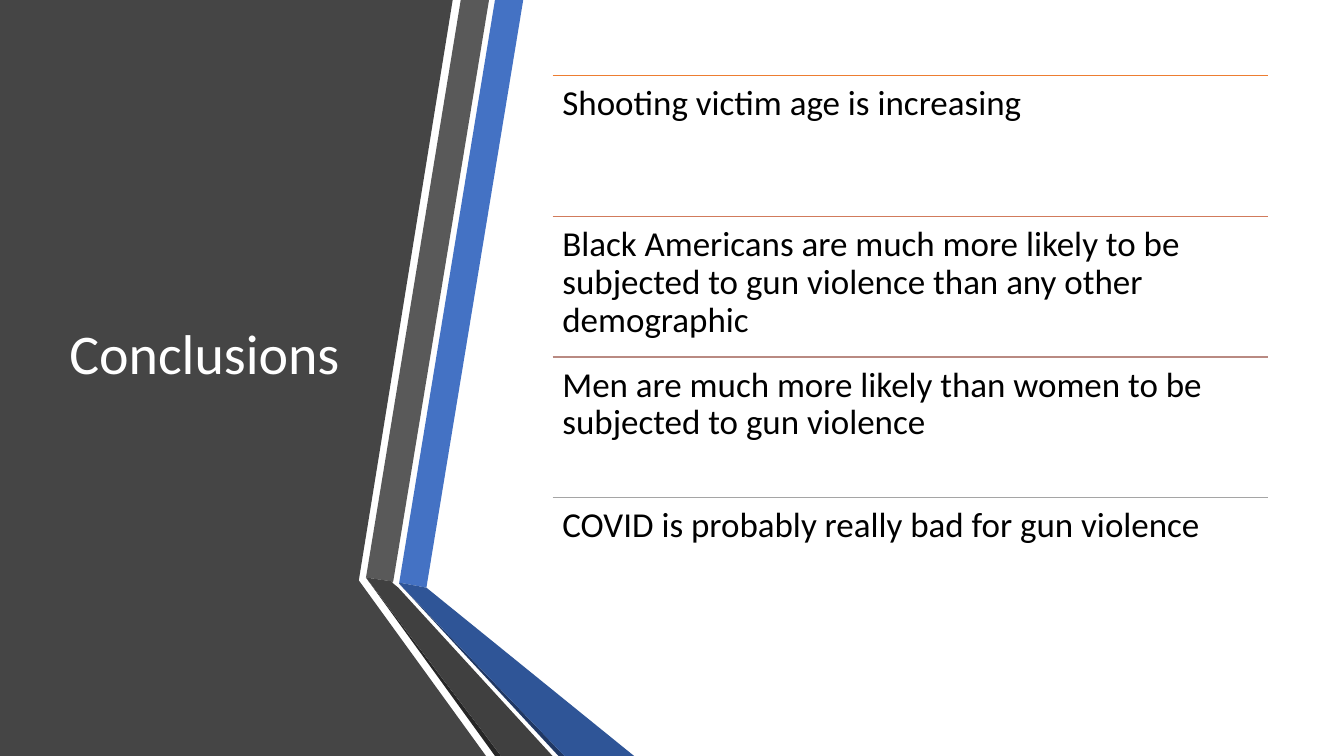
"""Build the Conclusions slide with a folded ribbon and four ruled statements."""
from lxml.etree import SubElement
from pptx import Presentation
from pptx.dml.color import RGBColor
from pptx.enum.shapes import MSO_CONNECTOR
from pptx.enum.text import MSO_ANCHOR
from pptx.oxml.ns import qn
from pptx.util import Inches, Pt

WHITE = RGBColor(0xFF, 0xFF, 0xFF)
BLACK = RGBColor(0x00, 0x00, 0x00)
PANEL_GRAY = RGBColor(0x45, 0x45, 0x45)
BLUE = RGBColor(0x44, 0x72, 0xC4)
GRAY = RGBColor(0x59, 0x59, 0x59)
GRAY_EDGE = RGBColor(0x26, 0x26, 0x26)
BLUE_EDGE = RGBColor(0x20, 0x38, 0x64)
BLUE_FOLD = RGBColor(0x2F, 0x55, 0x97)
GRAY_FOLD = RGBColor(0x40, 0x40, 0x40)
ORANGE = RGBColor(0xED, 0x7D, 0x31)
TERRACOTTA = RGBColor(0xD1, 0x7B, 0x5C)
DUSTY_ROSE = RGBColor(0xB9, 0x8A, 0x82)
SILVER = RGBColor(0xA5, 0xA5, 0xA5)

presentation = Presentation()
presentation.slide_width = Inches(13.33)
presentation.slide_height = Inches(7.5)
slide = presentation.slides.add_slide(presentation.slide_layouts[6])


def add_text(text, left, top, width, height, size, color, anchor):
    text_box = slide.shapes.add_textbox(
        Inches(left), Inches(top), Inches(width), Inches(height))
    frame = text_box.text_frame
    frame_format = {
        "word_wrap": True, "vertical_anchor": anchor,
        "margin_left": Inches(0.1), "margin_right": Inches(0.1),
        "margin_top": Inches(0.1), "margin_bottom": Inches(0.1),
    }
    for name, value in frame_format.items():
        setattr(frame, name, value)
    paragraph = frame.paragraphs[0]
    paragraph.line_spacing = 0.9
    run = paragraph.add_run()
    run.text = text
    for name, value in {"name": "Calibri", "size": Pt(size)}.items():
        setattr(run.font, name, value)
    run.font.color.rgb = color


ribbon_pieces = [
    (PANEL_GRAY, [(0, 0), (4.49, 0), (3.56, 5.75), (3.56, 5.76), (4.82, 7.5), (0, 7.5)]),
    (BLUE, [(3.96, 5.78), (4.23, 5.83), (5.19, 0), (4.91, 0)]),
    (GRAY, [(4.85, 0), (4.57, 0), (3.63, 5.73), (3.9, 5.77)]),
    (GRAY_EDGE, [(3.63, 5.73), (4.91, 7.5), (4.97, 7.5)]),
    (BLUE_EDGE, [(3.96, 5.79), (5.54, 7.5), (5.6, 7.5)]),
    (BLUE_FOLD, [(3.96, 5.79), (5.6, 7.5), (6.29, 7.5), (4.23, 5.83), (3.96, 5.78)]),
    (GRAY_FOLD, [(5.48, 7.5), (3.95, 5.83), (3.89, 5.78), (3.9, 5.77), (3.63, 5.73),
                 (4.97, 7.5)]),
]
for color, corners in ribbon_pieces:
    points = [(Inches(x), Inches(y)) for x, y in corners]
    builder = slide.shapes.build_freeform(*points[0])
    builder.add_line_segments(points[1:], close=True)
    shape = builder.convert_to_shape()
    shape.shadow.inherit = False
    shape.fill.solid()
    shape.fill.fore_color.rgb = color
    shape.line.fill.background()

add_text("Conclusions", 0.59, 0.75, 3.04, 5.58, 40, WHITE, MSO_ANCHOR.MIDDLE)

statements = [
    (ORANGE, "Shooting victim age is increasing"),
    (TERRACOTTA, "Black Americans are much more likely to be subjected to gun violence "
                 "than any other demographic"),
    (DUSTY_ROSE, "Men are much more likely than women to be subjected to gun violence"),
    (SILVER, "COVID is probably really bad for gun violence"),
]
list_left, list_top, list_width, list_height = 5.48, 0.75, 7.1, 5.58
row_height = list_height / len(statements)
for index, (color, statement) in enumerate(statements):
    top = list_top + index * row_height
    rule = slide.shapes.add_connector(
        MSO_CONNECTOR.STRAIGHT, Inches(list_left), Inches(top),
        Inches(list_left + list_width), Inches(top))
    rule.line.color.rgb = color
    rule.line.width = Pt(1)
    SubElement(rule._element.spPr, qn("a:effectLst"))
    add_text(statement, list_left, top, list_width, row_height, 25, BLACK, MSO_ANCHOR.TOP)

presentation.save("out.pptx")
